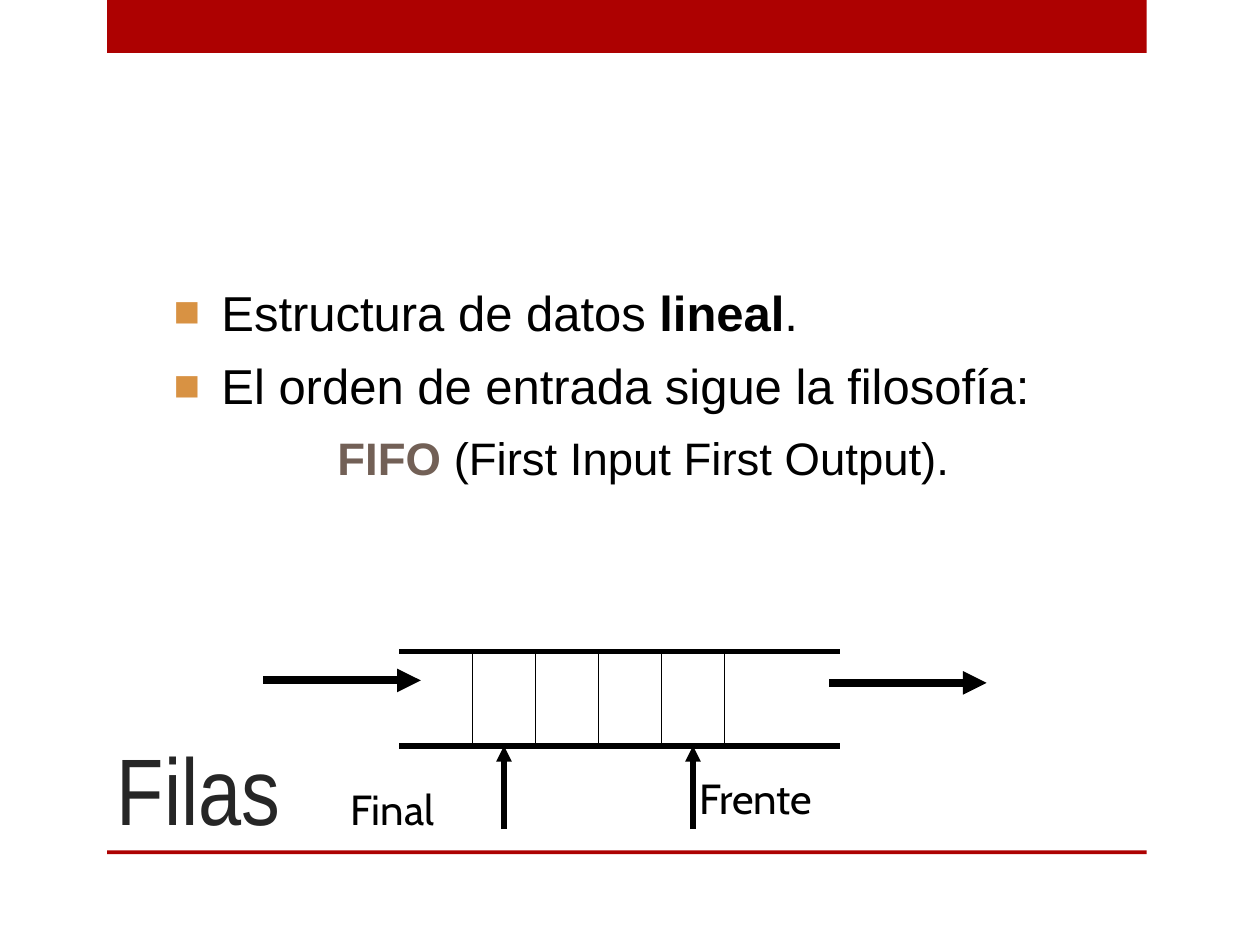
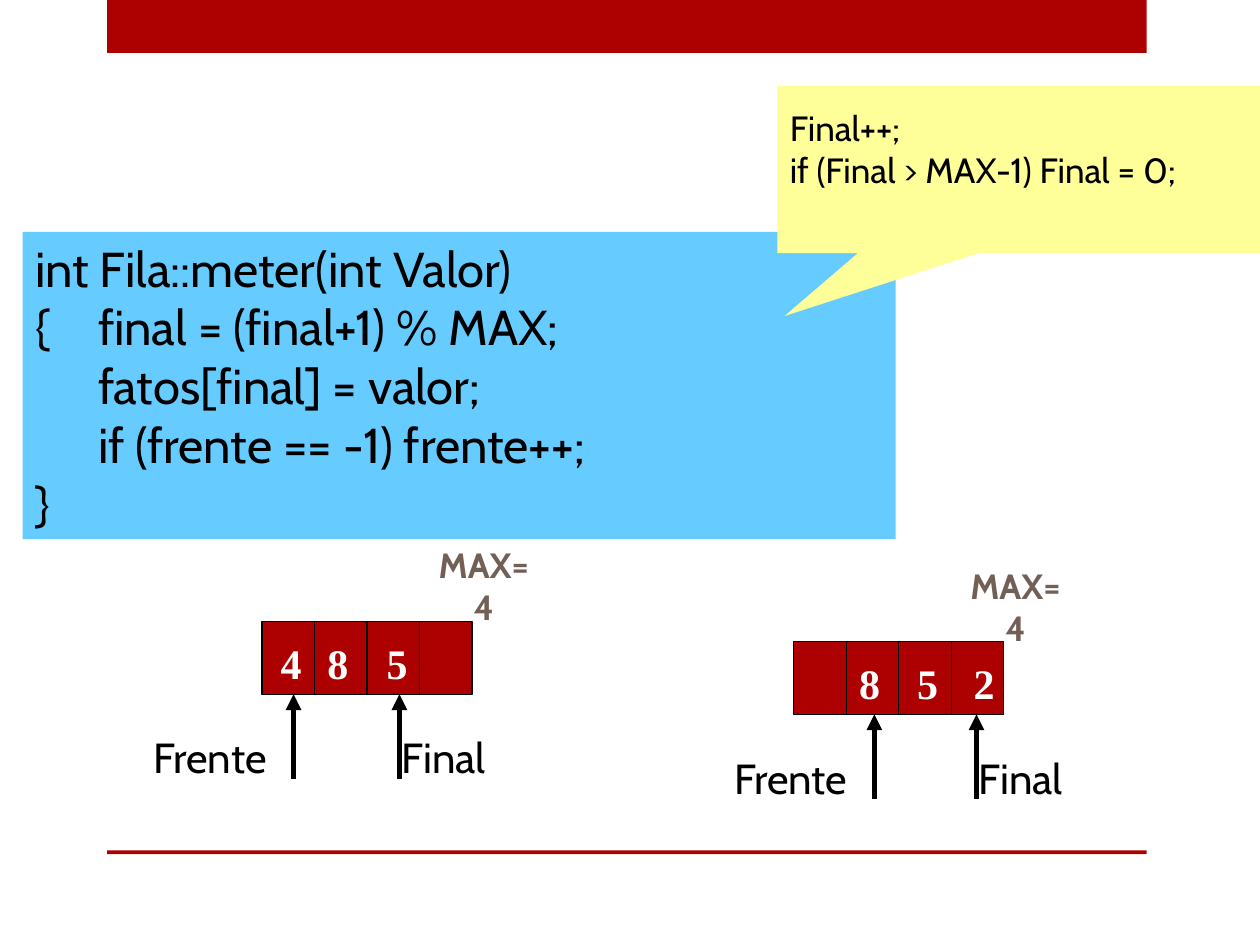
"""Build two slides about queues: the concept and the circular insertion."""
from lxml.etree import SubElement
from pptx import Presentation
from pptx.dml.color import RGBColor
from pptx.enum.shapes import MSO_CONNECTOR, MSO_SHAPE
from pptx.enum.text import MSO_ANCHOR, PP_ALIGN
from pptx.oxml.ns import qn
from pptx.util import Inches, Pt

RED = RGBColor(0xAD, 0x01, 0x01)
BLACK = RGBColor(0, 0, 0)
WHITE = RGBColor(0xFF, 0xFF, 0xFF)
DARK = RGBColor(0x26, 0x26, 0x26)
BROWN = RGBColor(0x72, 0x60, 0x56)
ORANGE = RGBColor(0xD8, 0x92, 0x43)
BLUE = RGBColor(0x66, 0xCC, 0xFF)
YELLOW = RGBColor(0xFF, 0xFF, 0x99)

BANDS = [(0.85, 0, 8.25, 0.42), (0.85, 6.75, 8.25, 0.03)]
TITLE = "Filas"
BULLETS = [
    ["Estructura de datos ", ("lineal", {"bold": True}), "."],
    ["El orden de entrada sigue la filosofía:"],
]
FIFO = [("FIFO", {"bold": True, "color": BROWN}), " (First Input First Output)."]

QUEUE = {"left": 3.17, "right": 6.67, "top": 5.17, "bottom": 5.92}
DIVIDERS = {"first": 3.75, "step": 0.5, "count": 5}
FLOW_ARROWS = [(2.09, 5.4), (6.58, 5.42)]
POINTERS = [("Final", 2.68, 6.17, 4), ("Frente", 5.45, 6.08, 5.5)]

CODE = [
    "int Fila::meter(int Valor)",
    "{\tfinal = (final+1) % MAX;",
    "\tfatos[final] = valor;",
    "\tif (frente == -1) frente++;",
    "}",
]
CALLOUT = ["Final++;", "if (Final > MAX-1) Final = 0;"]
CELL_W, CELL_H, CELLS = 5 / 12, 0.58, 4
ARRAYS = [
    {"left": 2.08, "top": 4.93, "frente": 2.33, "final": 3.17,
     "digits": [("4", 2.13), ("8", 2.5), ("5", 2.97)]},
    {"left": 6.3, "top": 5.09, "frente": 6.94, "final": 7.75,
     "digits": [("8", 6.72), ("5", 7.18), ("2", 7.63)]},
]


def write(tf, paras, size=24, font="Cabin", color=BLACK, bold=False, align=PP_ALIGN.LEFT,
          anchor=MSO_ANCHOR.TOP, wrap=False, before=0, bullet=False, tab=None, indent=0):
    """Append paragraphs, each a string or a list of runs, to a text frame."""
    tf.word_wrap = wrap
    tf.vertical_anchor = anchor
    for runs in paras:
        first = not tf.text
        p = tf.paragraphs[0] if first else tf.add_paragraph()
        p.alignment = align
        p.space_before = Pt(0 if first else before)
        pPr = p._p.get_or_add_pPr()
        pPr.set("marL", str(Inches(indent)))
        pPr.set("indent", str(Inches(-indent if bullet else 0)))
        if bullet:
            clr = SubElement(pPr, qn("a:buClr"))
            SubElement(clr, qn("a:srgbClr"), val=str(ORANGE))
            SubElement(pPr, qn("a:buSzPct"), val="90000")
            SubElement(pPr, qn("a:buFont"), typeface="Arial")
            SubElement(pPr, qn("a:buChar"), char="■")
        if tab:
            tabs = SubElement(pPr, qn("a:tabLst"))
            SubElement(tabs, qn("a:tab"), pos=str(Inches(tab)), algn="l")
        for run in [runs] if isinstance(runs, str) else runs:
            text, own = (run, {}) if isinstance(run, str) else run
            r = p.add_run()
            r.text = text
            r.font.size = Pt(size)
            r.font.name = font
            r.font.bold = own.get("bold", bold)
            r.font.color.rgb = own.get("color", color)


def add_text(s, box, paras, **fmt):
    tf = s.shapes.add_textbox(*map(Inches, box)).text_frame
    write(tf, paras, **fmt)
    return tf


def add_box(s, box, fill, outlined=False, kind=MSO_SHAPE.RECTANGLE):
    sp = s.shapes.add_shape(kind, *map(Inches, box))
    sp.shadow.inherit = False
    sp.fill.solid()
    sp.fill.fore_color.rgb = fill
    if outlined:
        sp.line.color.rgb = BLACK
        sp.line.width = Pt(0.75)
    else:
        sp.line.fill.background()
    return sp


def add_line(s, x1, y1, x2, y2, width=3, arrow=False):
    cx = s.shapes.add_connector(MSO_CONNECTOR.STRAIGHT, *map(Inches, (x1, y1, x2, y2)))
    cx.line.color.rgb = BLACK
    cx.line.width = Pt(width)
    if arrow:
        SubElement(cx.line._get_or_add_ln(), qn("a:tailEnd"), type="triangle")
    SubElement(cx._element.spPr, qn("a:effectLst"))


def add_slide(prs):
    s = prs.slides.add_slide(prs.slide_layouts[6])
    for band in BANDS:
        add_box(s, band, RED)
    return s


def concept_slide(prs):
    s = add_slide(prs)
    add_text(s, (0.83, 5, 7.42, 1.75), [TITLE], size=54, font="Arial Narrow",
             color=DARK, anchor=MSO_ANCHOR.BOTTOM, wrap=True)
    tf = add_text(s, (1.28, 2.19, 8.5, 2), BULLETS, size=28, font="Arial",
                  wrap=True, before=8.5, bullet=True, indent=0.38)
    write(tf, [FIFO], size=26, font="Arial", wrap=True, before=8.5, indent=1.3)

    top, bottom = QUEUE["top"], QUEUE["bottom"]
    for y in (top, bottom):
        add_line(s, QUEUE["left"], y, QUEUE["right"], y)
    for i in range(DIVIDERS["count"]):
        x = DIVIDERS["first"] + i * DIVIDERS["step"]
        add_line(s, x, top, x, bottom, width=0.75)
    for x, y in FLOW_ARROWS:
        add_line(s, x, y, x + 1.25, y, width=4.5, arrow=True)
    for label, left, label_top, x in POINTERS:
        add_text(s, (left, label_top, 1.4, 0.5), [label])
        add_line(s, x, 6.58, x, bottom, arrow=True)


def draw_array(s, array):
    left, top = array["left"], array["top"]
    bottom = top + CELL_H
    for i in range(CELLS):
        add_box(s, (left + i * CELL_W, top, CELL_W, CELL_H), RED, outlined=True)
    for digit, x in array["digits"]:
        add_text(s, (x, top + 0.08, 0.36, 0.5), [digit], font="Times New Roman", color=WHITE,
                 bold=True, align=PP_ALIGN.CENTER, anchor=MSO_ANCHOR.MIDDLE)
    for label, x, shift in (("Frente", array["frente"], -1.21), ("Final", array["final"], -0.08)):
        add_line(s, x, bottom + 0.67, x, bottom, arrow=True)
        add_text(s, (x + shift, top + 0.83, 1.4, 0.5), [label])
    add_text(s, (left + 1.26, top - 0.5, 1, 0.44), ["MAX=4"], size=20, color=BROWN, bold=True,
             align=PP_ALIGN.CENTER, anchor=MSO_ANCHOR.MIDDLE, wrap=True)


def insertion_slide(prs):
    s = add_slide(prs)
    code = add_box(s, (0.18, 1.84, 6.93, 2.44), BLUE)
    write(code.text_frame, CODE, size=28, tab=0.42)
    note = add_box(s, (6.17, 0.68, 3.83, 1.33), YELLOW, kind=MSO_SHAPE.RECTANGULAR_CALLOUT)
    note.adjustments[0], note.adjustments[1] = -0.485, 0.875
    note.text_frame.margin_bottom = Inches(0.38)
    write(note.text_frame, CALLOUT, size=20, anchor=MSO_ANCHOR.MIDDLE, wrap=True)
    for array in ARRAYS:
        draw_array(s, array)


def main():
    prs = Presentation()
    prs.slide_width, prs.slide_height = Inches(10), Inches(7.5)
    concept_slide(prs)
    insertion_slide(prs)
    prs.save("out.pptx")


if __name__ == "__main__":
    main()
